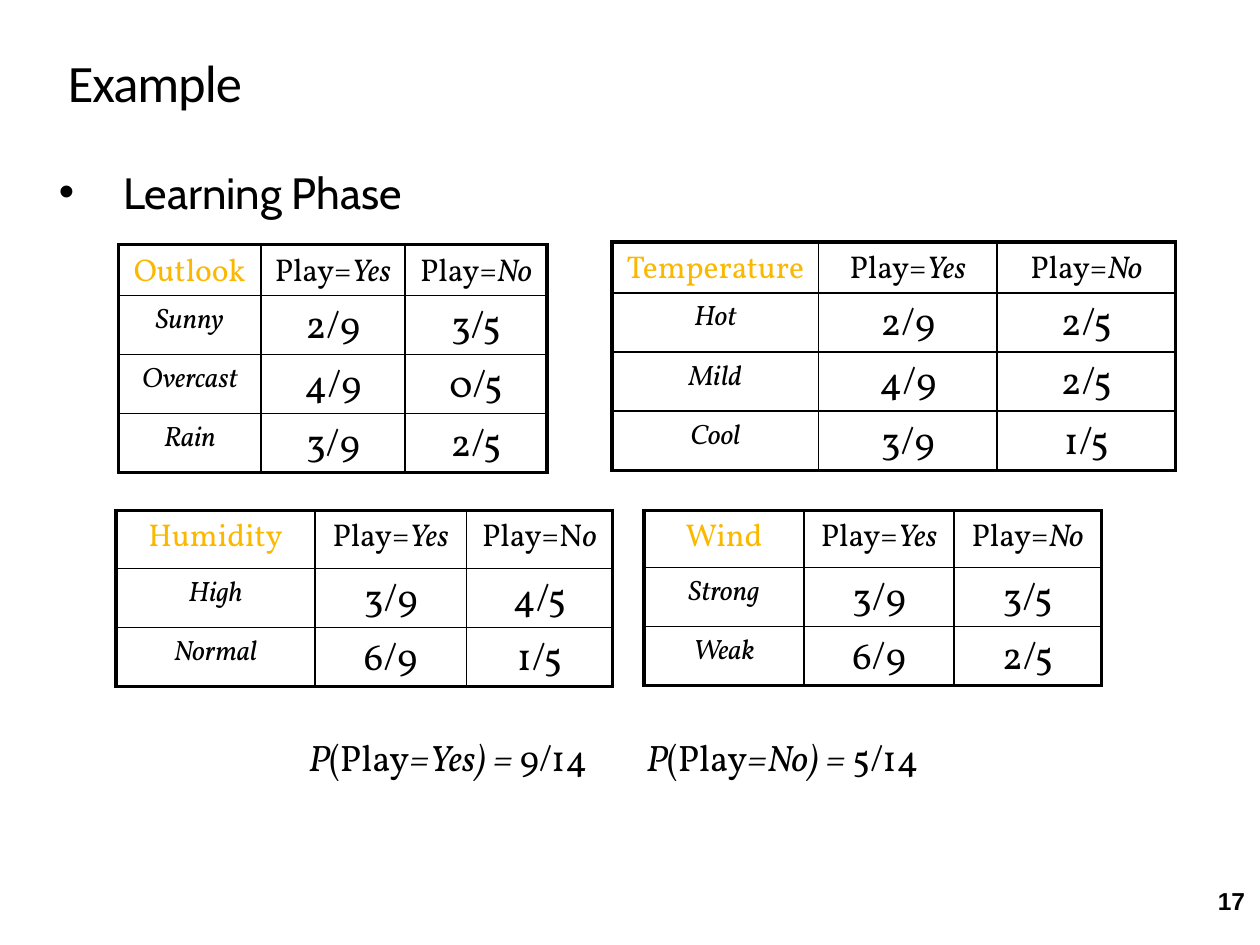
import lxml.etree
import pptx
import pptx.dml.color
import pptx.enum.text
import pptx.oxml.ns
import pptx.util

Cm, Pt = pptx.util.Cm, pptx.util.Pt
ALIGN = pptx.enum.text.PP_ALIGN
ANCHOR = pptx.enum.text.MSO_ANCHOR
qn = pptx.oxml.ns.qn

COLORS = {"ink": "000000", "feature": "FAB900"}
SERIF = "Vollkorn"
THIN, THICK = 1, 2.25
VALUE_ROW = 1.15

YES = [("Play=", False), ("Yes", True)]
NO = [("Play=", False), ("No", True)]
NO_HUMIDITY = [("Play=N", False), ("o", True)]

# Feature, left, top, column widths, header height (cm), No heading, rows
FREQUENCIES = [
    ("Outlook", 2.39, 4.93, (2.87, 2.9, 2.87), 1, NO,
     [("Sunny", "2/9", "3/5"), ("Overcast", "4/9", "0/5"), ("Rain", "3/9", "2/5")]),
    ("Temperature", 12.34, 4.88, (4.16, 3.6, 3.6), 1, NO,
     [("Hot", "2/9", "2/5"), ("Mild", "4/9", "2/5"), ("Cool", "3/9", "1/5")]),
    ("Humidity", 2.34, 10.29, (4.01, 3.05, 2.95), 1.17, NO_HUMIDITY,
     [("High", "3/9", "4/5"), ("Normal", "6/9", "1/5")]),
    ("Wind", 12.98, 10.29, (3.23, 3.02, 2.97), VALUE_ROW, NO,
     [("Strong", "3/9", "3/5"), ("Weak", "6/9", "2/5")]),
]


def write(paragraph, pieces, size, font, color="ink", bold=False):
    """Fill a paragraph with (text, italic) pieces."""
    for text, italic in pieces:
        run = paragraph.add_run()
        run.text = text
        run.font.size = Pt(size)
        run.font.name = font
        run.font.italic = italic
        run.font.bold = bold
        run.font.color.rgb = pptx.dml.color.RGBColor.from_string(COLORS[color])


def add_text(slide, box, anchor=ANCHOR.TOP, wrap=True):
    """Add a text box and return its first paragraph."""
    frame = slide.shapes.add_textbox(*map(Cm, box)).text_frame
    frame.word_wrap = wrap
    frame.vertical_anchor = anchor
    return frame.paragraphs[0]


def set_borders(cell, widths):
    """Draw the left, right, top and bottom lines of a cell."""
    properties = cell._tc.get_or_add_tcPr()
    for position, (side, width) in enumerate(zip("LRTB", widths)):
        line = lxml.etree.Element(qn(f"a:ln{side}"), w=str(Pt(width)))
        fill = lxml.etree.SubElement(line, qn("a:solidFill"))
        lxml.etree.SubElement(fill, qn("a:srgbClr"), val=COLORS["ink"])
        properties.insert(position, line)


def add_frequency_table(slide, feature, left, top, widths, header, no, rows):
    heights = [header] + [VALUE_ROW] * len(rows)
    table = slide.shapes.add_table(
        len(heights), len(widths), Cm(left), Cm(top),
        Cm(sum(widths)), Cm(sum(heights))).table
    for column, width in zip(table.columns, widths):
        column.width = Cm(width)
    for row, height in zip(table.rows, heights):
        row.height = Cm(height)

    grid = [[[(feature, False)], YES, no]]
    grid += [[[(name, True)], [(yes, False)], [(not_, False)]]
             for name, yes, not_ in rows]
    last_row, last_column = len(heights) - 1, len(widths) - 1
    for r, line in enumerate(grid):
        for c, pieces in enumerate(line):
            cell = table.cell(r, c)
            cell.fill.background()
            cell.margin_left = cell.margin_right = Cm(0.23)
            cell.margin_top = cell.margin_bottom = Cm(0.13)
            outer = (c == 0, c == last_column, r == 0, r == last_row)
            set_borders(cell, [THICK if edge else THIN for edge in outer])
            paragraph = cell.text_frame.paragraphs[0]
            paragraph.alignment = ALIGN.CENTER
            size = 18 if r == 0 else 16 if c == 0 else 22
            write(paragraph, pieces, size, SERIF,
                  "feature" if r == c == 0 else "ink")


def add_prior(slide, left, width, outcome, value):
    paragraph = add_text(slide, (left, 14.71, width, 1.12), wrap=False)
    frame = slide.shapes[-1].text_frame
    frame.auto_size = pptx.enum.text.MSO_AUTO_SIZE.SHAPE_TO_FIT_TEXT
    frame.margin_left = frame.margin_right = Cm(0.23)
    frame.margin_top = frame.margin_bottom = Cm(0.1)
    write(paragraph, [("P", True), ("(Play", False),
                      (f"={outcome}) = ", True), (value, False)], 21, SERIF)


def add_bullet(paragraph):
    properties = paragraph._p.get_or_add_pPr()
    properties.set("marL", str(Cm(1.3)))
    properties.set("indent", str(-Cm(1.3)))
    lxml.etree.SubElement(properties, qn("a:buFont"), typeface="Arial")
    lxml.etree.SubElement(properties, qn("a:buChar"), char="•")


def main():
    presentation = pptx.Presentation()
    presentation.slide_width, presentation.slide_height = Cm(25.4), Cm(19.05)
    slide = presentation.slides.add_slide(presentation.slide_layouts[6])

    # Slide number
    number = add_text(slide, (22.15, 17.65, 3.2, 1.02), ANCHOR.MIDDLE)
    number.alignment = ALIGN.RIGHT
    write(number, [("17", False)], 14, "Arial", bold=True)

    # Title
    title = add_text(slide, (1.12, 0.13, 24.28, 3.18), ANCHOR.MIDDLE)
    title.line_spacing = 0.9
    write(title, [("Example", False)], 30, "Calibri")
    title.runs[0]._r.get_or_add_rPr().set("spc", "-60")

    # Phase heading
    phase = add_text(slide, (0.94, 3, 24.08, 14.58))
    add_bullet(phase)
    phase.line_spacing = 1.2
    write(phase, [("Learning Phase", False)], 25, "Cabin")

    # Conditional frequencies for each feature
    for frequencies in FREQUENCIES:
        add_frequency_table(slide, *frequencies)

    # Prior probabilities
    add_prior(slide, 5.99, 6.35, "Yes", "9/14")
    add_prior(slide, 12.8, 6.27, "No", "5/14")

    presentation.save("out.pptx")


if __name__ == "__main__":
    main()
